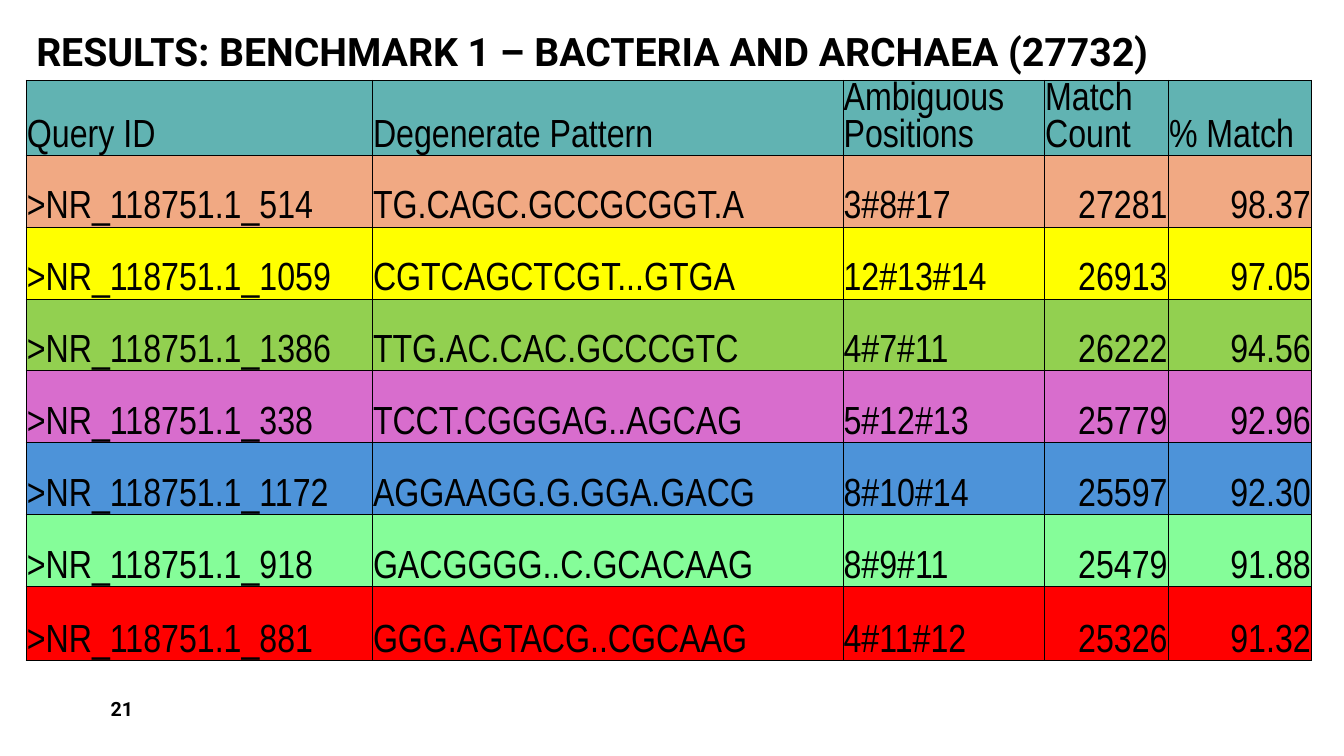
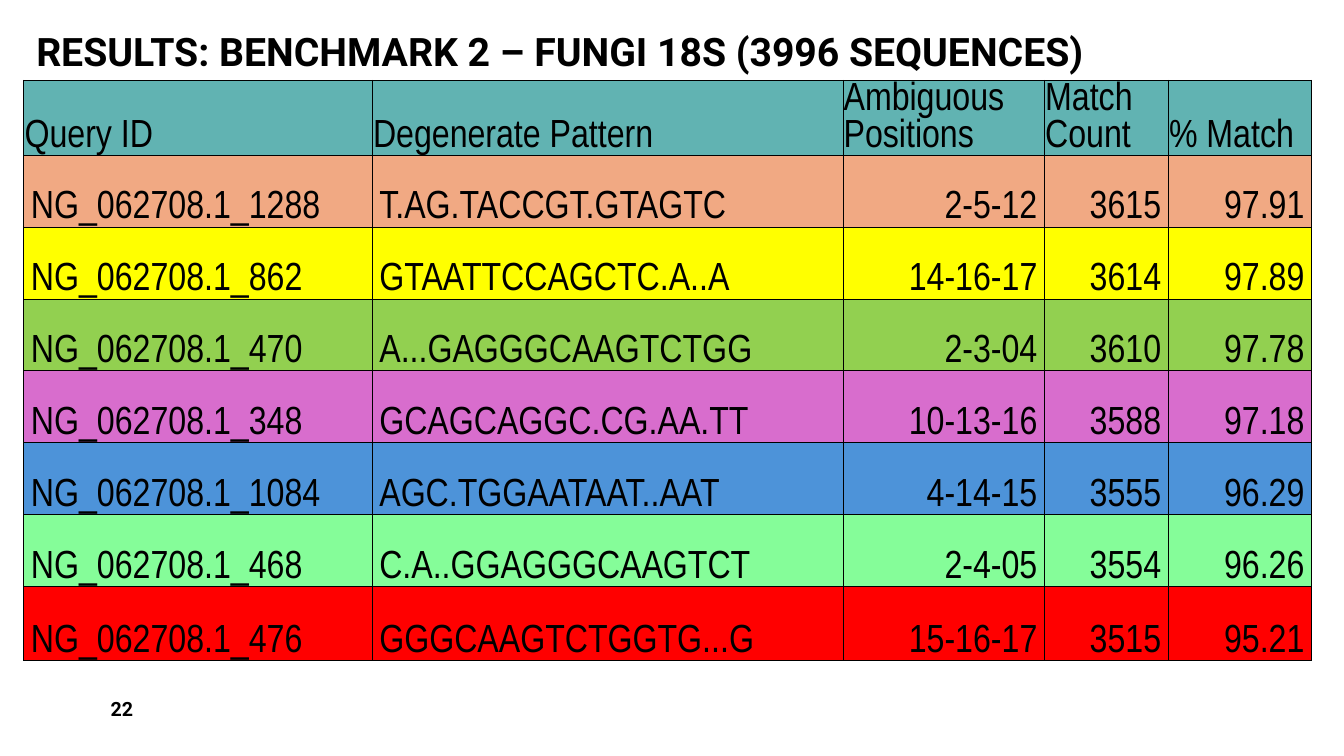
"""Build two benchmark result slides with coloured match tables."""
from dataclasses import dataclass

from lxml.etree import SubElement
from pptx import Presentation
from pptx.dml.color import RGBColor as Rgb
from pptx.enum.text import MSO_ANCHOR as Anchor, MSO_AUTO_SIZE as Fit, PP_ALIGN as Align
from pptx.oxml.ns import qn
from pptx.util import Cm, Pt


@dataclass(frozen=True)
class Theme:
    ink: str = "000000"
    head: str = "61B3B2"
    bands: tuple = ("F1A983", "FFFF00", "92D050", "D86DCD", "4D93D9", "85FD99", "FF0000")
    bold_font: str = "Roboto"
    grid_font: str = "Arial Narrow"
    large: int = 28
    small: int = 14
    head_space: float = Pt(26.4)
    thin: float = 0.5
    thick: float = 1
    tight: float = 0.02


@dataclass(frozen=True)
class Bench:
    title: str
    page: int
    rows: tuple
    first_col: float
    left_cols: int
    pad: float
    pad_top: float
    space: float


THEME = Theme()
RIGHT, TOP = 33.05, 2.03
COLS = (11.86, 5.08, 3.12, 3.61)
ROW, END_ROW = 1.81, 1.88
HEADS = ("Query ID", "Degenerate Pattern", "Ambiguous Positions", "Match Count", "% Match")

SLIDES = (
    Bench(
        "RESULTS: BENCHMARK 1 – BACTERIA AND ARCHAEA (27732)", 21,
        (
            (">NR_118751.1_514", "TG.CAGC.GCCGCGGT.A", "3#8#17", "27281", "98.37"),
            (">NR_118751.1_1059", "CGTCAGCTCGT...GTGA", "12#13#14", "26913", "97.05"),
            (">NR_118751.1_1386", "TTG.AC.CAC.GCCCGTC", "4#7#11", "26222", "94.56"),
            (">NR_118751.1_338", "TCCT.CGGGAG..AGCAG", "5#12#13", "25779", "92.96"),
            (">NR_118751.1_1172", "AGGAAGG.G.GGA.GACG", "8#10#14", "25597", "92.30"),
            (">NR_118751.1_918", "GACGGGG..C.GCACAAG", "8#9#11", "25479", "91.88"),
            (">NR_118751.1_881", "GGG.AGTACG..CGCAAG", "4#11#12", "25326", "91.32"),
        ),
        first_col=8.72, left_cols=3, pad=THEME.tight, pad_top=THEME.tight, space=1.0,
    ),
    Bench(
        "RESULTS: BENCHMARK 2 – FUNGI 18S (3996 SEQUENCES)", 22,
        (
            ("NG_062708.1_1288", "T.AG.TACCGT.GTAGTC", "2-5-12", "3615", "97.91"),
            ("NG_062708.1_862", "GTAATTCCAGCTC.A..A", "14-16-17", "3614", "97.89"),
            ("NG_062708.1_470", "A...GAGGGCAAGTCTGG", "2-3-04", "3610", "97.78"),
            ("NG_062708.1_348", "GCAGCAGGC.CG.AA.TT", "10-13-16", "3588", "97.18"),
            ("NG_062708.1_1084", "AGC.TGGAATAAT..AAT", "4-14-15", "3555", "96.29"),
            ("NG_062708.1_468", "C.A..GGAGGGCAAGTCT", "2-4-05", "3554", "96.26"),
            ("NG_062708.1_476", "GGGCAAGTCTGGTG...G", "15-16-17", "3515", "95.21"),
        ),
        first_col=8.78, left_cols=2, pad=0.18, pad_top=0, space=1.07,
    ),
)


def write(frame, text, font, size, bold=False, align=Align.LEFT, space=1.0):
    frame.text = text
    para = frame.paragraphs[0]
    para.alignment, para.line_spacing = align, space
    for run in para.runs:
        face = run.font
        face.name, face.size, face.bold = font, Pt(size), bold
        face.color.rgb = Rgb.from_string(THEME.ink)


def place(shape, left, top, width, height):
    shape.left, shape.top = Cm(left), Cm(top)
    shape.width, shape.height = Cm(width), Cm(height)


def add_title(slide, text):
    shape = slide.shapes.title
    place(shape, 0.66, 0.18, 32.38, 1.83)
    frame = shape.text_frame
    frame.word_wrap, frame.auto_size = True, Fit.NONE
    frame.vertical_anchor = Anchor.BOTTOM
    write(frame, text, THEME.bold_font, THEME.large, bold=True, space=0.9)


def add_page(slide, page):
    box = slide.shapes.add_textbox(Cm(2.54), Cm(17.35), Cm(7.42), Cm(1.02))
    frame = box.text_frame
    frame.word_wrap, frame.vertical_anchor = True, Anchor.MIDDLE
    write(frame, str(page), THEME.bold_font, THEME.small, bold=True)


def add_edge(cell, index, side, width):
    props = cell._tc.get_or_add_tcPr()
    line = SubElement(props, qn(f"a:ln{side}"), w=str(Pt(width)))
    fill = SubElement(line, qn("a:solidFill"))
    SubElement(fill, qn("a:srgbClr"), val=THEME.ink)
    props.insert(index, line)


def style_cell(cell, fill, pad, pad_top, outer):
    cell.fill.solid()
    cell.fill.fore_color.rgb = Rgb.from_string(fill)
    cell.vertical_anchor = Anchor.BOTTOM
    cell.margin_left = cell.margin_right = Cm(pad)
    cell.margin_top, cell.margin_bottom = Cm(pad_top), 0
    for index, side in enumerate("LRTB"):
        add_edge(cell, index, side, THEME.thick if side in outer else THEME.thin)


def add_grid(slide, bench):
    widths = (bench.first_col, *COLS)
    rows = (HEADS, *bench.rows)
    heights = [END_ROW] + [ROW] * (len(rows) - 2) + [END_ROW]
    total = sum(widths)
    table = slide.shapes.add_table(
        len(rows), len(widths), Cm(RIGHT - total), Cm(TOP), Cm(total), Cm(sum(heights))
    ).table
    table.first_row = table.horz_banding = False
    for col, width in zip(table.columns, widths):
        col.width = Cm(width)
    for row, height in zip(table.rows, heights):
        row.height = Cm(height)
    for r, (texts, fill) in enumerate(zip(rows, (THEME.head, *THEME.bands))):
        head = r == 0
        pad, pad_top, space = (
            (THEME.tight, THEME.tight, THEME.head_space) if head
            else (bench.pad, bench.pad_top, bench.space)
        )
        for c, text in enumerate(texts):
            cell = table.cell(r, c)
            ends = {"L": c == 0, "R": c == len(widths) - 1, "T": head, "B": r == len(rows) - 1}
            style_cell(cell, fill, pad, pad_top, [side for side, end in ends.items() if end])
            align = Align.LEFT if head or c < bench.left_cols else Align.RIGHT
            write(cell.text_frame, text, THEME.grid_font, THEME.large, align=align, space=space)


def main():
    deck = Presentation()
    deck.slide_width, deck.slide_height = Cm(33.87), Cm(19.05)
    for bench in SLIDES:
        slide = deck.slides.add_slide(deck.slide_layouts[5])
        add_title(slide, bench.title)
        add_page(slide, bench.page)
        add_grid(slide, bench)
    deck.save("out.pptx")


if __name__ == "__main__":
    main()
